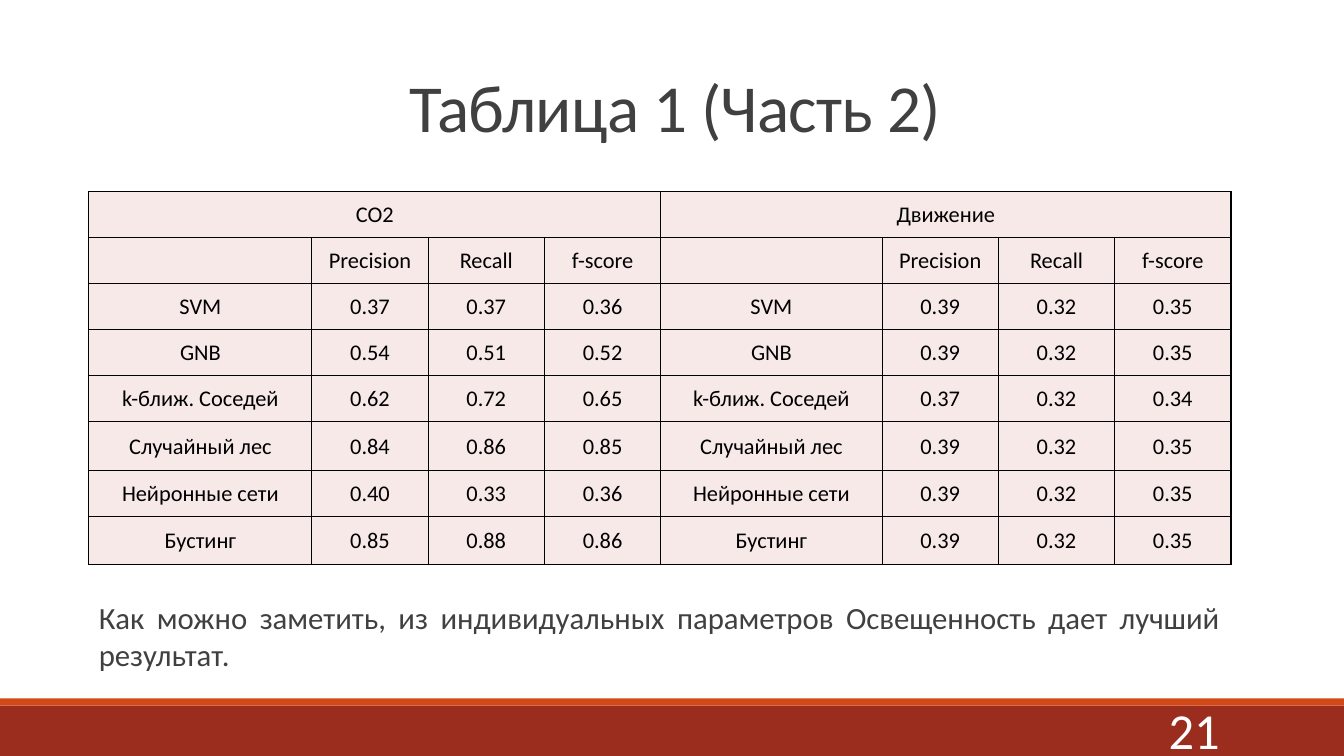
import dataclasses
import pptx
import pptx.util
import pptx.dml.color
import pptx.enum.shapes
import pptx.enum.text
import pptx.oxml.ns
from lxml import etree

Cm = pptx.util.Cm
Pt = pptx.util.Pt
ALIGN = pptx.enum.text.PP_ALIGN
MIDDLE = pptx.enum.text.MSO_ANCHOR.MIDDLE
TOP = pptx.enum.text.MSO_ANCHOR.TOP
qn = pptx.oxml.ns.qn


@dataclasses.dataclass(frozen=True)
class Theme:
    font: str = "Calibri"
    dark: str = "9B2D1F"
    accent: str = "D34817"
    rule: str = "808080"
    ink: str = "404040"
    black: str = "000000"
    white: str = "FFFFFF"
    cell: str = "F7E9E8"
    title: int = 48
    number: int = 36
    body: int = 22
    grid: int = 16


def rgb(code):
    return pptx.dml.color.RGBColor.from_string(code)


class Deck:
    def __init__(self, theme):
        self.theme = theme
        self.file = pptx.Presentation()
        self.file.slide_width, self.file.slide_height = Cm(33.87), Cm(19.05)
        self.slide = self.file.slides.add_slide(self.file.slide_layouts[6])

    def style(self, frame, text, size, color, align):
        frame.text = text
        para = frame.paragraphs[0]
        para.alignment = align
        for font in [para.font] + [run.font for run in para.runs]:
            font.name, font.size = self.theme.font, Pt(size)
            font.color.rgb = rgb(color)
        return para

    def text(self, box, text, size, color, align, anchor=MIDDLE):
        frame = self.slide.shapes.add_textbox(*map(Cm, box)).text_frame
        frame.word_wrap = True
        frame.vertical_anchor = anchor
        return self.style(frame, text, size, color, align)

    def bar(self, box, color):
        kind = pptx.enum.shapes.MSO_SHAPE.RECTANGLE
        bar = self.slide.shapes.add_shape(kind, *map(Cm, box))
        bar.shadow.inherit = False
        bar.fill.solid()
        bar.fill.fore_color.rgb = rgb(color)
        bar.line.fill.background()

    def line(self, ends, color, width):
        kind = pptx.enum.shapes.MSO_CONNECTOR.STRAIGHT
        line = self.slide.shapes.add_connector(kind, *map(Cm, ends))
        line.line.color.rgb = rgb(color)
        line.line.width = Pt(width)
        etree.SubElement(line._element.spPr, qn("a:effectLst"))

    def border(self, cell, color, width):
        props = cell._tc.get_or_add_tcPr()
        for spot, side in enumerate(("lnL", "lnR", "lnT", "lnB")):
            edge = etree.Element(qn("a:" + side), w=str(Pt(width)))
            fill = etree.SubElement(edge, qn("a:solidFill"))
            etree.SubElement(fill, qn("a:srgbClr"), val=color)
            props.insert(spot, edge)

    def table(self, left, top, widths, heights, rows, merges):
        theme = self.theme
        frame = self.slide.shapes.add_table(
            len(rows), len(widths), Cm(left), Cm(top),
            Cm(sum(widths)), Cm(sum(heights)))
        table = frame.table
        for col, width in zip(table.columns, widths):
            col.width = Cm(width)
        for row, height, words in zip(table.rows, heights, rows):
            row.height = Cm(height)
            for cell, word in zip(row.cells, words):
                self.style(cell.text_frame, word, theme.grid,
                           theme.black, ALIGN.CENTER)
                cell.vertical_anchor = MIDDLE
                cell.margin_left = cell.margin_right = cell.margin_top = Cm(0.02)
                cell.margin_bottom = 0
                cell.fill.solid()
                cell.fill.fore_color.rgb = rgb(theme.cell)
                self.border(cell, theme.black, 1)
        for first, last in merges:
            table.cell(0, first).merge(table.cell(0, last))


theme = Theme()
deck = Deck(theme)

# Footer bars and title rule
deck.bar((0, 17.78, 33.87, 1.27), theme.dark)
deck.bar((0, 17.6, 33.87, 0.18), theme.accent)
deck.line((3.33, 4.83, 31.01, 4.83), theme.rule, 0.5)

# Title
title = deck.text((3.05, 0.79, 27.94, 4.04), "Таблица 1 (Часть 2)",
                  theme.title, theme.ink, ALIGN.CENTER)
title.line_spacing = 0.85
title.runs[0].font._element.set("spc", "-50")

# Scores: method, then three values for each parameter
scores = [
    ("SVM", "0.37 0.37 0.36", "0.39 0.32 0.35"),
    ("GNB", "0.54 0.51 0.52", "0.39 0.32 0.35"),
    ("k-ближ. Соседей", "0.62 0.72 0.65", "0.37 0.32 0.34"),
    ("Случайный лес", "0.84 0.86 0.85", "0.39 0.32 0.35"),
    ("Нейронные сети", "0.40 0.33 0.36", "0.39 0.32 0.35"),
    ("Бустинг", "0.85 0.88 0.86", "0.39 0.32 0.35"),
]
head = ["", "Precision", "Recall", "f-score"]
rows = [["СО2", "", "", "", "Движение", "", "", ""], head * 2]
for name, gas, motion in scores:
    rows.append([name, *gas.split(), name, *motion.split()])
widths = [5.62] + [2.93] * 3 + [5.58] + [2.93] * 3
heights = [1.16] * 5 + [1.22, 1.16, 1.22]
deck.table(2.24, 4.83, widths, heights, rows, [(0, 3), (4, 7)])

# Conclusion and page number
deck.text((2.24, 14.96, 28.75, 2.13),
          "Как можно заметить, из индивидуальных параметров "
          "Освещенность дает лучший результат.",
          theme.body, theme.ink, ALIGN.JUSTIFY, TOP)
deck.text((27.36, 17.88, 3.63, 1.02), "21",
          theme.number, theme.white, ALIGN.RIGHT)

deck.file.save("out.pptx")
